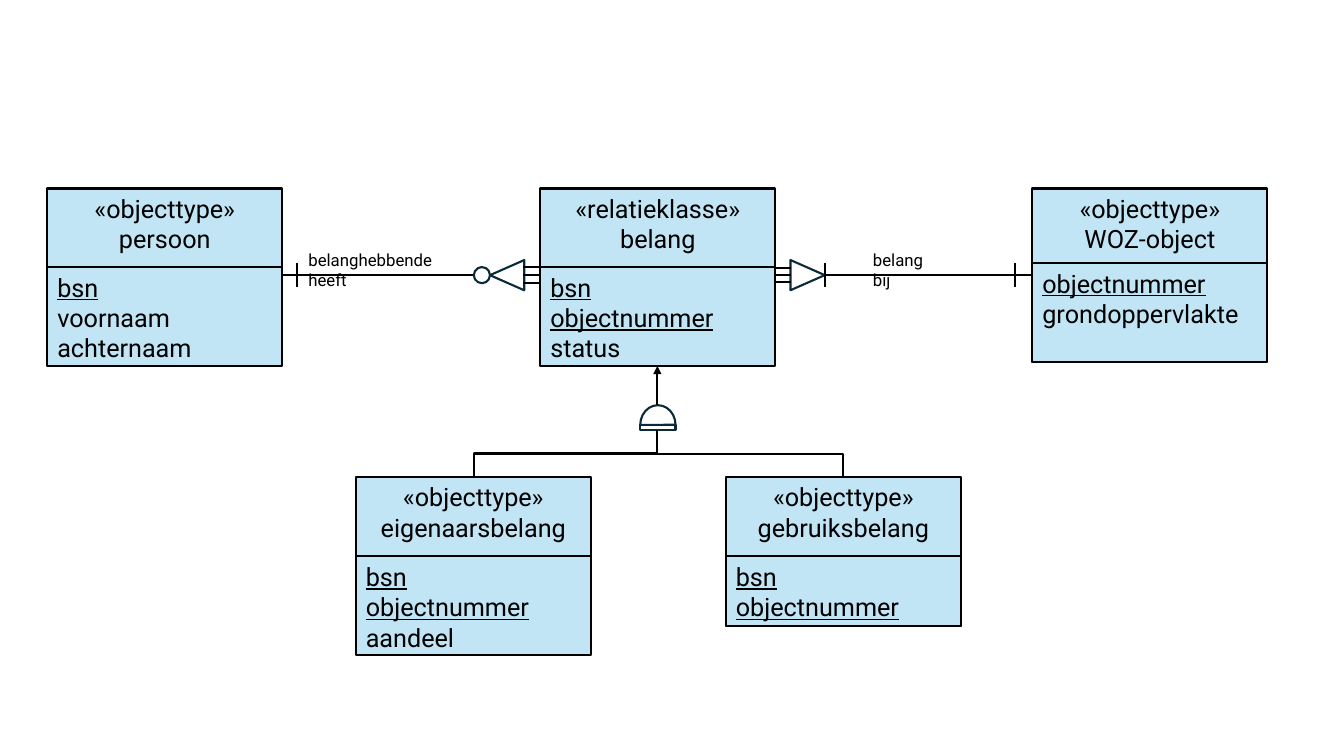
from lxml import etree
from pptx import Presentation
from pptx.dml.color import RGBColor
from pptx.enum.shapes import MSO_CONNECTOR, MSO_SHAPE
from pptx.enum.text import MSO_ANCHOR, PP_ALIGN
from pptx.oxml.ns import qn
from pptx.util import Pt

PX = 9144  # EMU in one px, 100 px to the inch
BLACK, WHITE, LIGHT_BLUE, NAVY = "000000", "FFFFFF", "C1E5F5", "092A39"
AXIS_Y = 273  # height of the relation lines
ENTITY_W = 233


def px(*values):
    return [round(v * PX) for v in values]


def rgb(value):
    return RGBColor.from_string(value)


def add_text(tf, text, size=18, underline=False, align=PP_ALIGN.LEFT, first=False):
    p = tf.paragraphs[0] if first else tf.add_paragraph()
    p.alignment = align
    r = p.add_run()
    r.text = text
    r.font.name = "Roboto"
    r.font.size = Pt(size)
    r.font.color.rgb = rgb(BLACK)
    r.font.underline = underline


def add_shape(shapes, kind, x, y, w, h, fill=WHITE, line=NAVY, rotation=0):
    sp = shapes.add_shape(kind, *px(x, y, w, h))
    sp.shadow.inherit = False
    sp.fill.solid()
    sp.fill.fore_color.rgb = rgb(fill)
    sp.line.color.rgb = rgb(line)
    sp.line.width = Pt(1.5)
    sp.rotation = rotation
    return sp


def add_line(s, x1, y1, x2, y2, kind=MSO_CONNECTOR.STRAIGHT, arrow=False):
    line = s.shapes.add_connector(kind, *px(x1, y1, x2, y2))
    line.line.color.rgb = rgb(BLACK)
    line.line.width = Pt(1.5)
    if arrow:
        etree.SubElement(line.line._get_or_add_ln(), qn("a:tailEnd"), type="triangle")
    etree.SubElement(line._element.spPr, qn("a:effectLst"))
    return line


def add_vertical_elbow(s, x1, y1, x2, y2):
    """Elbow that leaves vertically: a horizontal one turned by 90 degrees."""
    cx, cy = (x1 + x2) / 2, (y1 + y2) / 2
    dx, dy = (x1 - x2) / 2, (y1 - y2) / 2
    line = add_line(s, cx + dy, cy - dx, cx - dy, cy + dx, MSO_CONNECTOR.ELBOW)
    line._element.spPr.find(qn("a:xfrm")).set("rot", "5400000")


def add_entity(s, x, y, h, head_h, body_h, stereotype, name, keys, attributes=()):
    """Class box: header box with the attribute box over its lower part."""
    head = add_shape(s.shapes, MSO_SHAPE.RECTANGLE, x, y, ENTITY_W, h, LIGHT_BLUE, BLACK)
    body = add_shape(s.shapes, MSO_SHAPE.RECTANGLE, x, y + head_h, ENTITY_W, body_h,
                     LIGHT_BLUE, BLACK)
    for sp in (head, body):
        sp.text_frame.word_wrap = True
        sp.text_frame.vertical_anchor = MSO_ANCHOR.TOP
    add_text(head.text_frame, f"«{stereotype}»", align=PP_ALIGN.CENTER, first=True)
    add_text(head.text_frame, name, align=PP_ALIGN.CENTER)
    for i, attribute in enumerate([*keys, *attributes]):
        add_text(body.text_frame, attribute, underline=attribute in keys, first=i == 0)


def add_label(s, x, y, w, text):
    tf = s.shapes.add_textbox(*px(x, y, w, 30)).text_frame
    tf.word_wrap = True
    tf.margin_right = px(20)[0]
    add_text(tf, text, size=12, first=True)


def add_bar(s, x):
    add_line(s, x, AXIS_Y - 12, x, AXIS_Y + 12)


def add_crow_foot(s, tri_x, rotation, x1, x2, gap):
    """Triangle joined to the class box by three short lines."""
    add_shape(s.shapes, MSO_SHAPE.ISOSCELES_TRIANGLE, tri_x, AXIS_Y - 17, 30, 34,
              rotation=rotation)
    for offset in (-gap, 0, gap):
        add_line(s, x1, AXIS_Y + offset, x2, AXIS_Y + offset)


def add_relations(s):
    # persoon to belang
    add_line(s, 280, AXIS_Y, 470, AXIS_Y)
    add_bar(s, 295)
    add_crow_foot(s, 488, 270, 519, 536, 8)
    add_shape(s.shapes, MSO_SHAPE.OVAL, 470, AXIS_Y - 8, 16, 16)
    add_label(s, 296, 243, 185, "belanghebbende heeft")
    # belang to WOZ-object
    add_crow_foot(s, 786, 90, 768, 785, 7)
    add_line(s, 818, AXIS_Y, 1024, AXIS_Y)
    for x in (818, 1007):
        add_bar(s, x)
    add_label(s, 856, 243, 90, "belang bij")


def add_specialisation(s, x, y, child_xs, child_y):
    """Half-round symbol, arrow up to the parent, elbows down to the children."""
    symbol = s.shapes.add_group_shape()
    pie = add_shape(symbol.shapes, MSO_SHAPE.PIE, x - 17, y, 35, 39)
    pie.adjustments[0], pie.adjustments[1] = 107.579, 215.625
    add_shape(symbol.shapes, MSO_SHAPE.RECTANGLE, x - 17, y + 20, 35, 5)
    add_line(s, x, y, x, y - 39, arrow=True)
    for child_x in child_xs:
        add_vertical_elbow(s, child_x, child_y, x, y + 25)


def main():
    prs = Presentation()
    prs.slide_width, prs.slide_height = px(1333, 750)
    s = prs.slides.add_slide(prs.slide_layouts[6])

    # Upper row
    add_entity(s, 47, 187, 172, 78, 98, "objecttype", "persoon",
               ["bsn"], ["voornaam", "achternaam"])
    add_entity(s, 536, 187, 172, 78, 98, "relatieklasse", "belang",
               ["bsn", "objectnummer"], ["status"])
    add_entity(s, 1024, 187, 172, 74, 98, "objecttype", "WOZ-object",
               ["objectnummer"], ["grondoppervlakte"])
    add_relations(s)

    # Lower row
    add_entity(s, 353, 473, 172, 79, 98, "objecttype", "eigenaarsbelang",
               ["bsn", "objectnummer"], ["aandeel"])
    add_entity(s, 720, 473, 148, 79, 69, "objecttype", "gebruiksbelang",
               ["bsn", "objectnummer"])
    add_specialisation(s, 652, 402, (470, 836), 473)

    prs.save("out.pptx")


if __name__ == "__main__":
    main()
